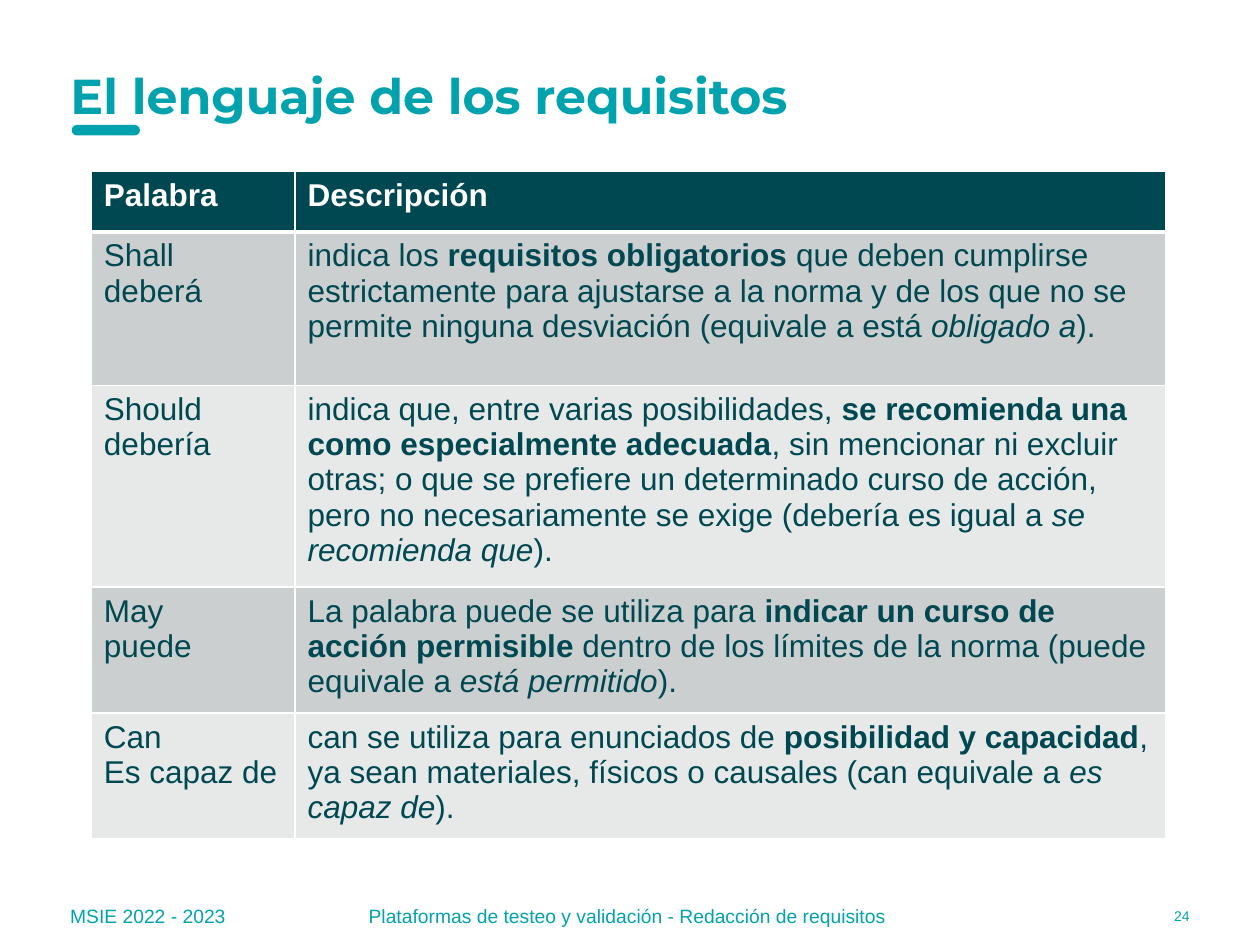
from dataclasses import dataclass

from lxml.etree import SubElement
from pptx import Presentation
from pptx.dml.color import RGBColor
from pptx.enum.shapes import MSO_SHAPE as Shape
from pptx.enum.text import MSO_ANCHOR as Anchor, PP_ALIGN as Align
from pptx.oxml.ns import qn
from pptx.util import Pt


@dataclass(frozen=True)
class Theme:
    teal: str = "00A3AD"
    dark: str = "004851"
    white: str = "FFFFFF"
    bands: tuple = ("CCCFD0", "E7E9E9")
    heading_font: str = "Montserrat"
    body_font: str = "Arial"
    title_size: int = 28
    table_size: int = 18
    footer_size: int = 11
    number_size: int = 8


theme = Theme()


def format_run(run, size, color, font=theme.body_font, bold=False, italic=False):
    run.font.name = font
    run.font.size = Pt(size)
    run.font.bold = bold
    run.font.italic = italic
    run.font.color.rgb = RGBColor.from_string(color)


def style_cell(cell, fill, bottom_width):
    """Give a cell white borders and a solid fill."""
    properties = cell._tc.get_or_add_tcPr()
    for side, width in (("L", 1), ("R", 1), ("T", 1), ("B", bottom_width)):
        line = SubElement(properties, qn(f"a:ln{side}"), w=str(Pt(width)))
        line_fill = SubElement(line, qn("a:solidFill"))
        SubElement(line_fill, qn("a:srgbClr"), val=theme.white)
    cell.fill.solid()
    cell.fill.fore_color.rgb = RGBColor.from_string(fill)


presentation = Presentation()
presentation.slide_width, presentation.slide_height = Pt(720), Pt(540)
slide = presentation.slides.add_slide(presentation.slide_layouts[6])

# Accent bar under the title
bar = slide.shapes.add_shape(Shape.ROUNDED_RECTANGLE, Pt(41), Pt(71.4), Pt(39), Pt(6))
bar.adjustments[0] = 0.5
bar.shadow.inherit = False
bar.fill.solid()
bar.fill.fore_color.rgb = RGBColor.from_string(theme.teal)
bar.line.fill.background()

# Title and footer: text, left, top, width, height, alignment, size, font, bold
footer_top, footer_height = 509, 29
texts = [
    ("MSIE 2022 - 2023", 33, footer_top, 111, footer_height,
     Align.LEFT, theme.footer_size, theme.body_font, False),
    ("Plataformas de testeo y validación - Redacción de requisitos",
     170.6, footer_top, 376, footer_height,
     Align.CENTER, theme.footer_size, theme.body_font, False),
    ("24", 599, footer_top, 88, footer_height,
     Align.RIGHT, theme.number_size, theme.body_font, False),
    ("El lenguaje de los requisitos", 33.2, 37.5, 603, 34,
     Align.LEFT, theme.title_size, theme.heading_font, True),
]
for text, left, top, width, height, alignment, size, font, bold in texts:
    box = slide.shapes.add_textbox(Pt(left), Pt(top), Pt(width), Pt(height))
    frame = box.text_frame
    frame.word_wrap = True
    frame.vertical_anchor = Anchor.MIDDLE
    frame.text = text
    paragraph = frame.paragraphs[0]
    paragraph.alignment = alignment
    format_run(paragraph.runs[0], size, theme.teal, font, bold)

# Table content: a description is plain, bold, plain, italic, plain
headers = ("Palabra", "Descripción")
entries = [
    (("Shall", "deberá"),
     ("indica los ", "requisitos obligatorios ",
      "que deben cumplirse estrictamente para ajustarse a la norma y de los que "
      "no se permite ninguna desviación (equivale a está ", "obligado a", ").")),
    (("Should", "debería"),
     ("indica que, entre varias posibilidades, ",
      "se recomienda una como especialmente adecuada",
      ", sin mencionar ni excluir otras; o que se prefiere un determinado curso de "
      "acción, pero no necesariamente se exige (debería es igual a ",
      "se recomienda que", ").")),
    (("May", "puede"),
     ("La palabra puede se utiliza para ", "indicar un curso de acción permisible",
      " dentro de los límites de la norma (puede equivale a ",
      "está permitido", ").")),
    (("Can", "Es capaz de"),
     ("can se utiliza para enunciados de ", "posibilidad y capacidad",
      ", ya sean materiales, físicos o causales (can equivale a",
      " es capaz de", ").")),
]
column_widths = (116.4, 497.6)
row_heights = (34.5, 87.8, 108, 67.4, 67.4)

# Table
table = slide.shapes.add_table(
    len(row_heights), len(column_widths), Pt(52.2), Pt(98),
    Pt(sum(column_widths)), Pt(sum(row_heights))).table
for column, width in zip(table.columns, column_widths):
    column.width = Pt(width)
for row, height in zip(table.rows, row_heights):
    row.height = Pt(height)

# Header row
for cell, header in zip(table.rows[0].cells, headers):
    style_cell(cell, theme.dark, 3)
    cell.text_frame.text = header
    format_run(cell.text_frame.paragraphs[0].runs[0],
               theme.table_size, theme.white, bold=True)

# Body rows
for index, (words, parts) in enumerate(entries):
    word_cell, description_cell = table.rows[index + 1].cells
    for cell in (word_cell, description_cell):
        style_cell(cell, theme.bands[index % 2], 1)
    word_cell.text_frame.text = "\n".join(words)
    for paragraph in word_cell.text_frame.paragraphs:
        format_run(paragraph.runs[0], theme.table_size, theme.dark)
    paragraph = description_cell.text_frame.paragraphs[0]
    for position, part in enumerate(parts):
        run = paragraph.add_run()
        run.text = part
        format_run(run, theme.table_size, theme.dark,
                   bold=position == 1, italic=position == 3)

presentation.save("out.pptx")
